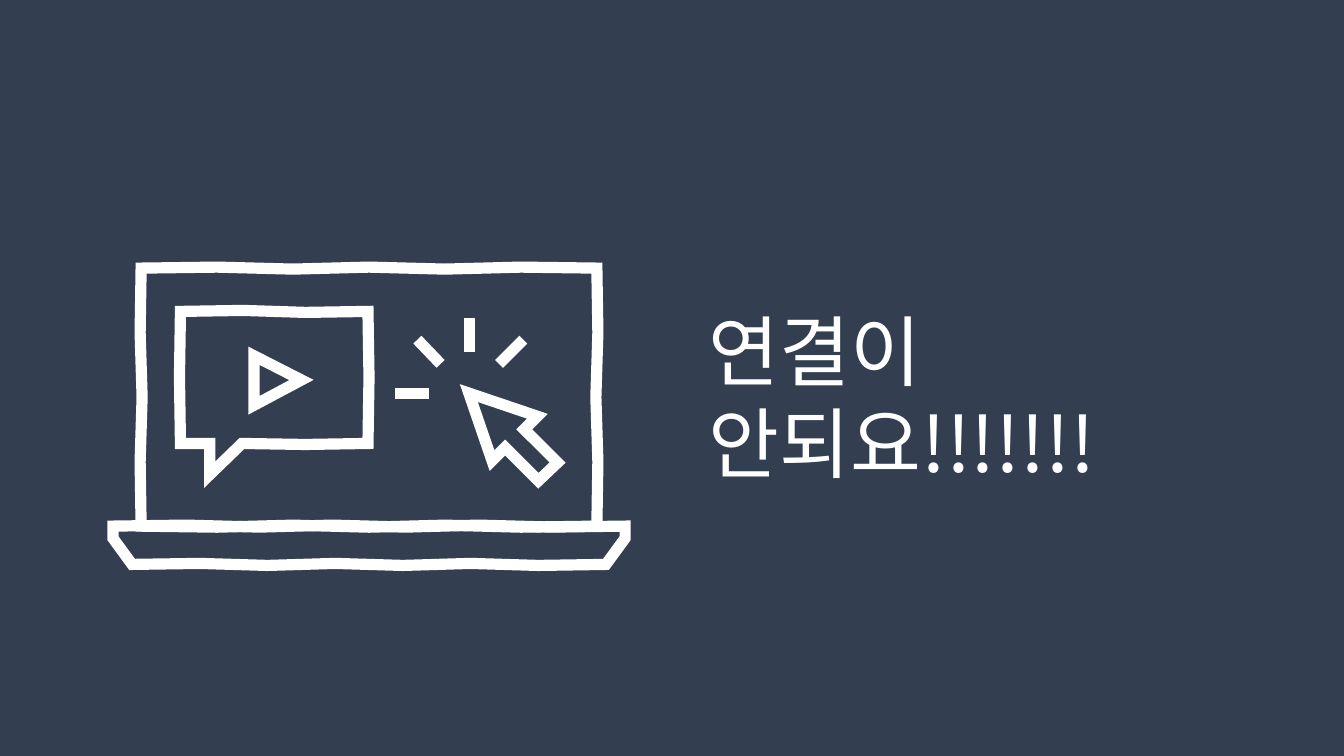
import math
import pptx
import pptx.util
import pptx.dml.color
import pptx.enum.shapes
import pptx.enum.text
import lxml.etree

PX = 9144  # 100 px to the inch
FONT = "Noto Sans CJK KR"
NS = "{http://schemas.openxmlformats.org/drawingml/2006/main}"


def px(n):
    return pptx.util.Emu(round(n * PX))


def color(value):
    return pptx.dml.color.RGBColor.from_string(value)


def hand_drawn(corners):
    """Outline through the corners; long edges sway by one px."""
    points = []
    for (x1, y1), (x2, y2) in zip(corners, corners[1:] + corners[:1]):
        length = math.hypot(x2 - x1, y2 - y1)
        steps = max(1, round(length / 70))
        for i in range(steps):
            t = i / steps
            sway = (0, 1, -1)[0 if i == 0 else 1 + i % 2]
            points.append((x1 + (x2 - x1) * t - (y2 - y1) / length * sway,
                           y1 + (y2 - y1) * t + (x2 - x1) / length * sway))
    return points


def set_stroke(shape):
    shape.line.color.rgb = color("FFFFFF")
    shape.line.width = pptx.util.Pt(8)
    ln = shape.line._get_or_add_ln()
    lxml.etree.SubElement(ln, NS + "miter", lim="800000")


def add_outline(s, left, top, corners):
    points = [(px(x), px(y)) for x, y in hand_drawn(corners)]
    builder = s.shapes.build_freeform(*points[0])
    builder.add_line_segments(points[1:], close=True)
    sp = builder.convert_to_shape(px(left), px(top))
    sp.shadow.inherit = False
    sp.fill.background()
    set_stroke(sp)


def add_ray(s, left, top, x1, y1, x2, y2):
    ray = s.shapes.add_connector(
        pptx.enum.shapes.MSO_CONNECTOR.STRAIGHT,
        px(left + x1), px(top + y1), px(left + x2), px(top + y2))
    set_stroke(ray)
    lxml.etree.SubElement(ray._element.spPr, NS + "effectLst")


def add_laptop(s, left, top, width, height):
    hinge = height - 38
    base = [(0, hinge), (width, hinge), (width, hinge + 12),
            (width - 19, height), (19, height), (0, hinge + 12)]
    screen = [(28, 0), (width - 28, 0), (width - 28, hinge), (28, hinge)]
    cursor = [(421, 147), (408, 160), (441, 193), (422, 211),
              (389, 178), (376, 191), (353, 124)]
    play = [(140, 136), (187, 111), (140, 87)]
    bubble = [(67, 174), (67, 43), (253, 43), (253, 174),
              (128, 174), (96, 205), (96, 174)]
    for corners in (base, screen, cursor):
        add_outline(s, left, top, corners)

    # Click rays around the cursor tip
    for ray in ((407, 71, 383, 95), (354, 49, 354, 83),
                (302, 71, 325, 95), (280, 124, 313, 124)):
        add_ray(s, left, top, *ray)

    # Speech bubble with a play sign
    for corners in (play, bubble):
        add_outline(s, left, top, corners)


def add_title(s, left, top, width, height, lines):
    title = s.shapes.title
    title.left, title.top = px(left), px(top)
    title.width, title.height = px(width), px(height)
    tf = title.text_frame
    tf.word_wrap = True
    tf.auto_size = pptx.enum.text.MSO_AUTO_SIZE.NONE
    tf.vertical_anchor = pptx.enum.text.MSO_ANCHOR.TOP
    for i, line in enumerate(lines):
        p = tf.add_paragraph() if i else tf.paragraphs[0]
        p.alignment = pptx.enum.text.PP_ALIGN.LEFT
        p.line_spacing = pptx.util.Pt(66)
        p.space_before = pptx.util.Pt(0)
        r = p.add_run()
        r.text = line
        r.font.size = pptx.util.Pt(55)
        r.font.name = FONT
        r.font.color.rgb = color("FFFFFF")
        lxml.etree.SubElement(r.font._element, NS + "ea", typeface=FONT)


def main():
    prs = pptx.Presentation()
    prs.slide_width, prs.slide_height = px(1333), px(750)
    s = prs.slides.add_slide(prs.slide_layouts[5])
    s.background.fill.solid()
    s.background.fill.fore_color.rgb = color("333F50")
    add_title(s, 693, 296, 486, 195, ["연결이", "안되요!!!!!!!"])
    add_laptop(s, 112, 266, 508, 294)
    prs.save("out.pptx")


if __name__ == "__main__":
    main()
